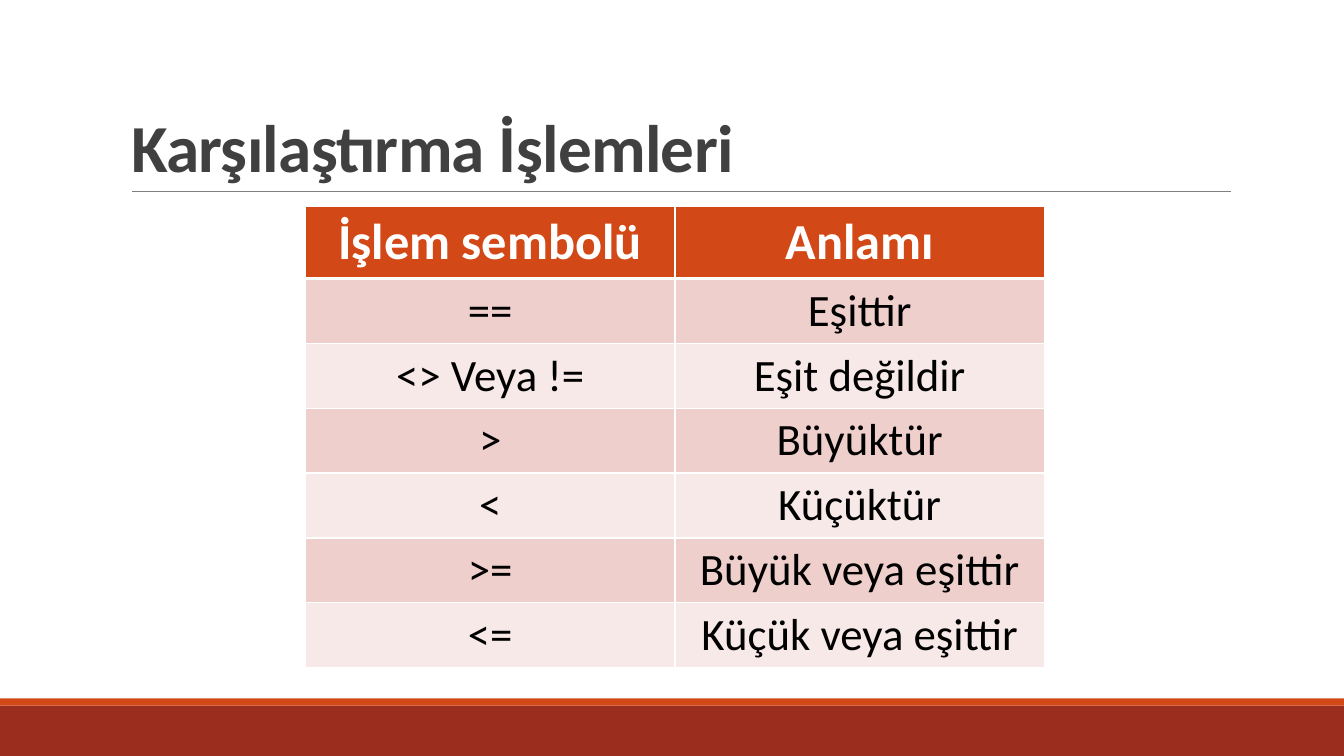
from lxml import etree
from pptx import Presentation
from pptx.dml.color import RGBColor
from pptx.enum.shapes import MSO_CONNECTOR, MSO_SHAPE
from pptx.enum.text import MSO_ANCHOR, MSO_AUTO_SIZE, PP_ALIGN
from pptx.oxml.ns import qn
from pptx.util import Inches, Pt

TITLE = "Karşılaştırma İşlemleri"
ROWS = [
    ("İşlem sembolü", "Anlamı"),
    ("==", "Eşittir"),
    ("<> Veya !=", "Eşit değildir"),
    (">", "Büyüktür"),
    ("<", "Küçüktür"),
    (">=", "Büyük veya eşittir"),
    ("<=", "Küçük veya eşittir"),
]
FONT = "Calibri"
WHITE = RGBColor(0xFF, 0xFF, 0xFF)
BLACK = RGBColor(0, 0, 0)
DARK = RGBColor(0x40, 0x40, 0x40)
GRAY = RGBColor(0x80, 0x80, 0x80)
ORANGE = RGBColor(0xD3, 0x48, 0x17)
RUST = RGBColor(0x9B, 0x2D, 0x1F)
BANDS = (RGBColor(0xF7, 0xE9, 0xE8), RGBColor(0xEF, 0xCF, 0xCC))
BARS = [(7, 0.5, RUST), (6.93, 0.07, ORANGE)]
WIDE, HIGH = 13.33, 7.5
COL, HEAD, ROW = 3.665, 0.71, 0.64
RECT, LINE = MSO_SHAPE.RECTANGLE, MSO_CONNECTOR.STRAIGHT
LEFT, CENTER = PP_ALIGN.LEFT, PP_ALIGN.CENTER
BOTTOM, MIDDLE = MSO_ANCHOR.BOTTOM, MSO_ANCHOR.MIDDLE
NO_FIT = MSO_AUTO_SIZE.NONE


def add_text(para, text, size, color, bold, align):
    """Add one styled run to a paragraph and return it."""
    para.alignment = align
    run = para.add_run()
    run.text = text
    font = run.font
    font.name, font.size, font.bold = FONT, Pt(size), bold
    font.color.rgb = color
    return run


def add_edge(cell, side, width):
    """Draw one white border of a cell."""
    props = cell._tc.get_or_add_tcPr()
    edge = etree.SubElement(props, qn(f"a:ln{side}"), w=str(Pt(width)))
    fill = etree.SubElement(edge, qn("a:solidFill"))
    etree.SubElement(fill, qn("a:srgbClr"), val=str(WHITE))


def add_bars(slide):
    """Draw the footer bars and the rule below the title."""
    for top, high, color in BARS:
        bar = slide.shapes.add_shape(RECT, 0, Inches(top), Inches(WIDE), Inches(high))
        bar.shadow.inherit = False
        bar.fill.solid()
        bar.fill.fore_color.rgb = color
        bar.line.fill.background()
    rule = slide.shapes.add_connector(LINE, Inches(1.31), Inches(1.9), Inches(12.21), Inches(1.9))
    rule.line.color.rgb = GRAY
    rule.line.width = Pt(0.5)
    etree.SubElement(rule._element.spPr, qn("a:effectLst"))


def add_title(slide):
    """Place and style the title."""
    title = slide.shapes.title
    title.left, title.top = Inches(1.2), Inches(0.31)
    title.width, title.height = Inches(11), Inches(1.59)
    frame = title.text_frame
    frame.word_wrap = True
    frame.auto_size = NO_FIT
    frame.vertical_anchor = BOTTOM
    para = frame.paragraphs[0]
    para.line_spacing = 0.85
    run = add_text(para, TITLE, 48, DARK, True, LEFT)
    run.font._element.set("spc", "-50")


def add_grid(slide):
    """Build the table of operators."""
    count, cols = len(ROWS), len(ROWS[0])
    high = HEAD + ROW * (count - 1)
    table = slide.shapes.add_table(
        count, cols, Inches(3.03), Inches(2.05), Inches(COL * cols), Inches(high)
    ).table
    for col in table.columns:
        col.width = Inches(COL)
    for i, texts in enumerate(ROWS):
        head = i == 0
        table.rows[i].height = Inches(HEAD if head else ROW)
        for j, text in enumerate(texts):
            cell = table.cell(i, j)
            cell.vertical_anchor = MIDDLE
            edges = {"L": 1, "R": 1, "T": 3 if i == 1 else 1, "B": 3 if head else 1}
            for side, width in edges.items():
                add_edge(cell, side, width)
            cell.fill.solid()
            cell.fill.fore_color.rgb = ORANGE if head else BANDS[i % 2]
            add_text(cell.text_frame.paragraphs[0], text, 36 if head else 32,
                     WHITE if head else BLACK, head, CENTER)


def main():
    """Build and save the slide."""
    deck = Presentation()
    deck.slide_width, deck.slide_height = Inches(WIDE), Inches(HIGH)
    slide = deck.slides.add_slide(deck.slide_layouts[5])
    add_bars(slide)
    add_title(slide)
    add_grid(slide)
    deck.save("out.pptx")


if __name__ == "__main__":
    main()
